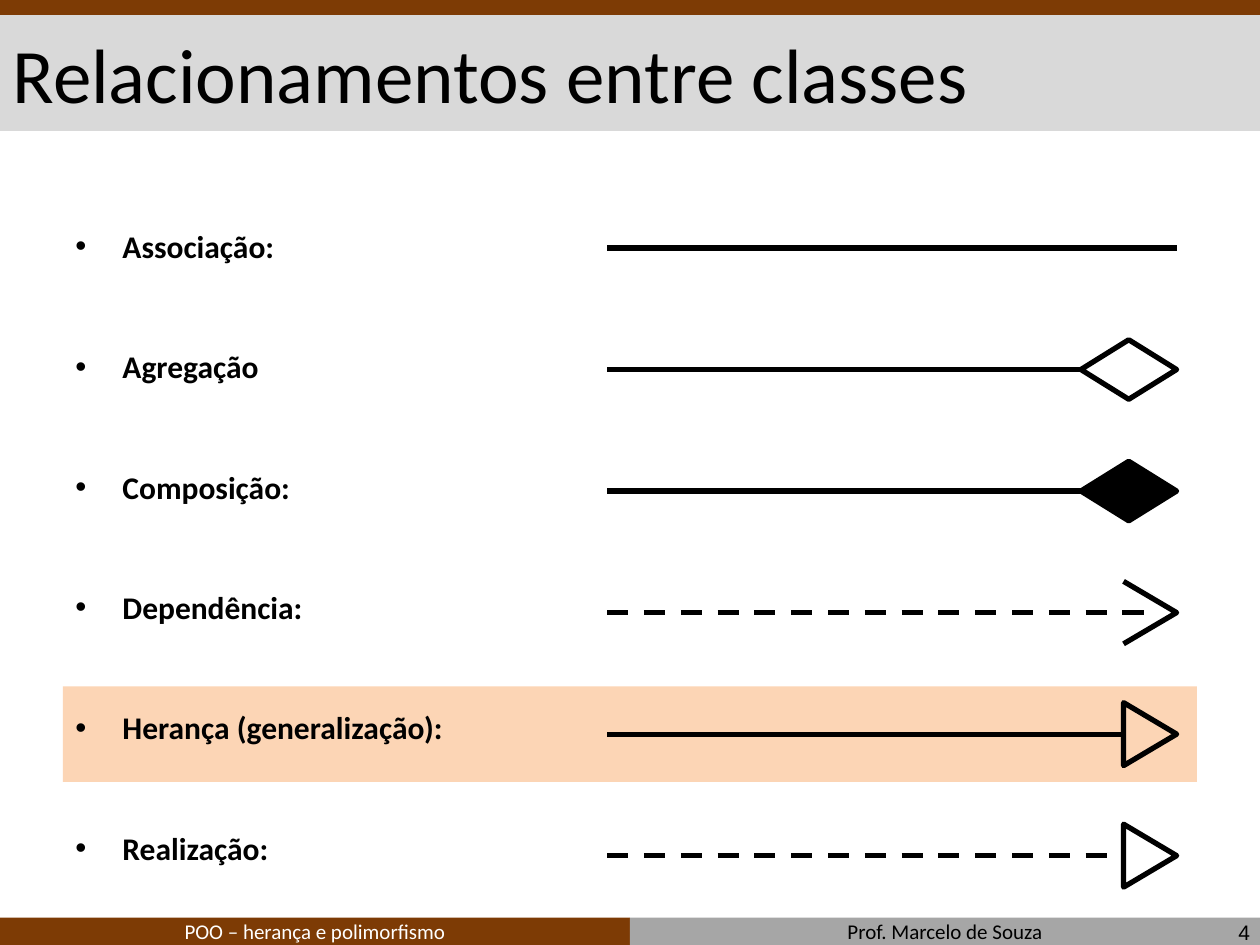
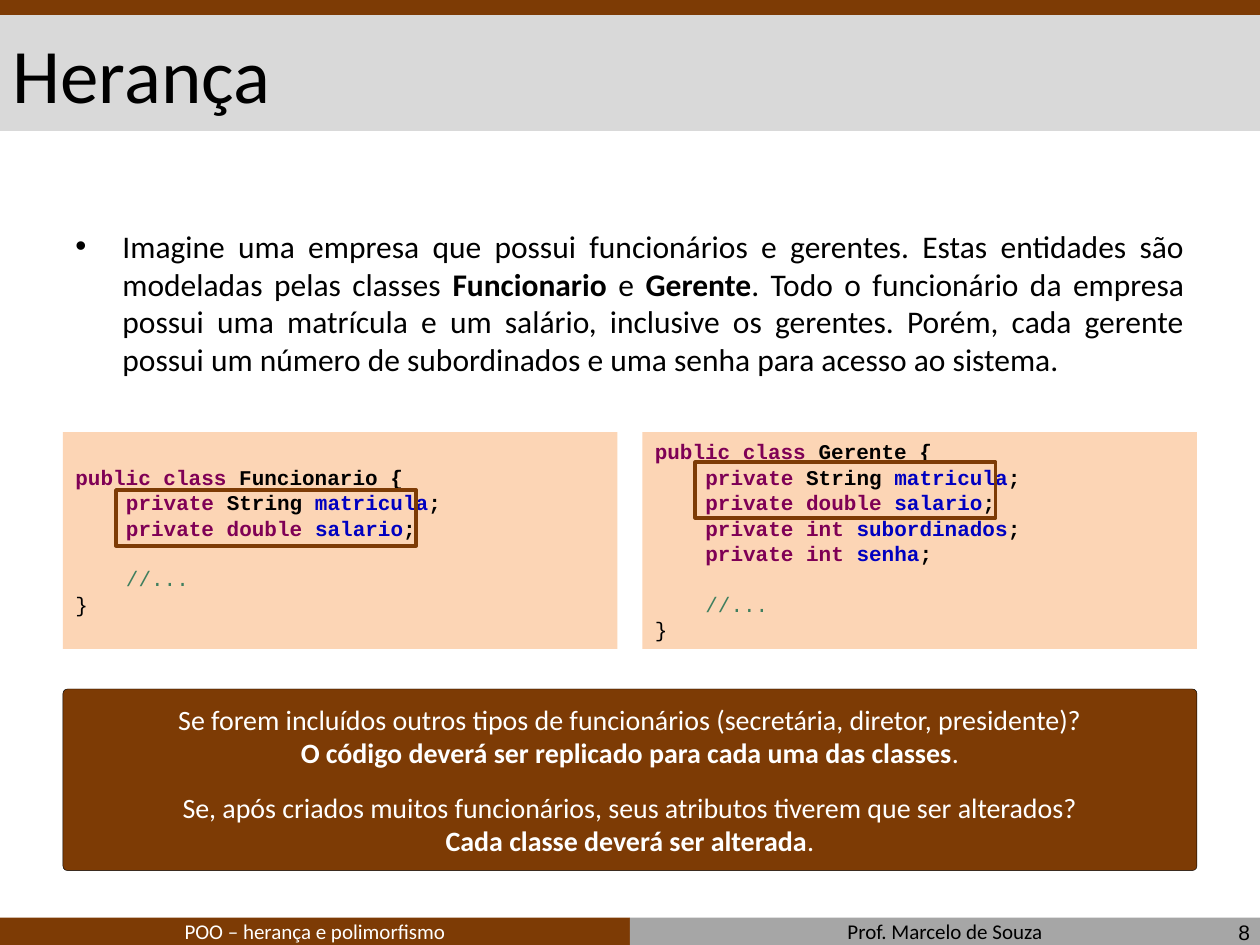
import collections

import lxml.etree
import pptx
import pptx.dml.color
import pptx.enum.dml
import pptx.enum.shapes
import pptx.enum.text
import pptx.oxml.ns
import pptx.util

Cm, Pt = pptx.util.Cm, pptx.util.Pt
SHAPES = pptx.enum.shapes.MSO_SHAPE
ALIGN = pptx.enum.text.PP_ALIGN
ANCHOR = pptx.enum.text.MSO_ANCHOR
Box = collections.namedtuple("Box", "left top width height")

COLORS = {
    "brown": "7D3B05", "peach": "FCD5B5", "light gray": "D9D9D9",
    "gray": "A6A6A6", "black": "000000", "white": "FFFFFF",
    "keyword": "7F0055", "field": "0000C0", "comment": "3F7F5F",
}
WIDTH, HEIGHT = 25.4, 19.05
MARGIN = 1.27
CONTENT_WIDTH = WIDTH - 2 * MARGIN
BODY = Box(MARGIN, 4.45, CONTENT_WIDTH, 13.3)

TITLE_FONT = {"name": "Calibri", "size": Pt(44), "bold": False}
BODY_FONT = {"name": "Calibri", "size": Pt(18)}
FOOTER_FONT = {"name": "Calibri", "size": Pt(12)}
NUMBER_FONT = {"name": "Arial", "size": Pt(12)}
CODE_FONT = {"name": "Courier New", "size": Pt(12)}
CALLOUT_FONT = {"name": "Calibri", "size": Pt(16)}


# Shared helpers
def rgb(color):
    return pptx.dml.color.RGBColor.from_string(COLORS[color])


def set_values(target, values):
    for name, value in values.items():
        setattr(target, name, value)


def cm_box(box):
    return [Cm(length) for length in box]


def style_line(line, color, width, dash=None):
    line.color.rgb = rgb(color)
    line.width = Pt(width)
    if dash:
        line.dash_style = dash


def style_shape(shape, fill=None, line=None, line_width=3):
    shape.shadow.inherit = False
    if fill:
        shape.fill.solid()
        shape.fill.fore_color.rgb = rgb(fill)
    else:
        shape.fill.background()
    if line:
        style_line(shape.line, line, line_width)
    else:
        shape.line.fill.background()
    return shape


def add_shape(slide, kind, box, **style):
    return style_shape(slide.shapes.add_shape(kind, *cm_box(box)), **style)


def add_line(slide, start, end, dash=None):
    points = [Cm(length) for length in (*start, *end)]
    connector = slide.shapes.add_connector(
        pptx.enum.shapes.MSO_CONNECTOR.STRAIGHT, *points)
    style_line(connector.line, "black", 3, dash)
    lxml.etree.SubElement(connector._element.spPr, pptx.oxml.ns.qn("a:effectLst"))
    return connector


def add_text_box(slide, box, **frame_format):
    frame = slide.shapes.add_textbox(*cm_box(box)).text_frame
    set_values(frame, {"word_wrap": True, **frame_format})
    return frame


def next_paragraph(frame, **paragraph_format):
    """Use the empty first paragraph, then add further ones."""
    paragraph = frame.paragraphs[0]
    if paragraph.runs:
        paragraph = frame.add_paragraph()
    set_values(paragraph, paragraph_format)
    return paragraph


def add_run(paragraph, text, font, color="black", bold=False):
    run = paragraph.add_run()
    run.text = text
    set_values(run.font, {**font, "bold": bold})
    run.font.color.rgb = rgb(color)


def indent(paragraph, left, first=0.0):
    properties = paragraph._p.get_or_add_pPr()
    properties.set("marL", str(Cm(left)))
    properties.set("indent", str(Cm(first)))
    return properties


def add_bullet(paragraph):
    properties = indent(paragraph, 0.95, -0.95)
    for tag, name, value in (("a:buFont", "typeface", "Arial"), ("a:buChar", "char", "•")):
        lxml.etree.SubElement(properties, pptx.oxml.ns.qn(tag)).set(name, value)


# Title, bands and footer of every slide
def add_footer(slide, box, number):
    half = box.width / 2
    parts = (("POO – herança e polimorfismo", "brown", "white"),
             ("Prof. Marcelo de Souza", "gray", "black"))
    for index, (text, fill, color) in enumerate(parts):
        band = add_shape(slide, SHAPES.RECTANGLE,
                         box._replace(left=box.left + index * half, width=half), fill=fill)
        set_values(band.text_frame, {"margin_top": 0, "margin_bottom": 0,
                                     "vertical_anchor": ANCHOR.MIDDLE})
        paragraph = next_paragraph(band.text_frame, alignment=ALIGN.CENTER)
        add_run(paragraph, text, FOOTER_FONT, color)
    frame = add_text_box(slide, Box(box.left + box.width - 5.87, box.top - 0.13, 5.92, 0.84),
                         vertical_anchor=ANCHOR.MIDDLE)
    add_run(next_paragraph(frame, alignment=ALIGN.RIGHT), number, NUMBER_FONT)


def add_titled_slide(presentation, title_text, number):
    slide = presentation.slides.add_slide(presentation.slide_layouts.get_by_name("Title Only"))
    title = slide.shapes.title
    set_values(title, dict(zip(Box._fields, cm_box(Box(0, 0.3, WIDTH, 2.34)))))
    title.fill.solid()
    title.fill.fore_color.rgb = rgb("light gray")
    set_values(title.text_frame, {"vertical_anchor": ANCHOR.MIDDLE, "word_wrap": True,
                                  "auto_size": pptx.enum.text.MSO_AUTO_SIZE.NONE})
    add_run(next_paragraph(title.text_frame, alignment=ALIGN.LEFT), title_text, TITLE_FONT)
    add_shape(slide, SHAPES.RECTANGLE, Box(0, 0, WIDTH, 0.3), fill="brown")
    add_footer(slide, Box(0, 18.5, WIDTH, 0.55), number)
    return slide


# Relationship notation: each line with its end symbol
def add_relationship(slide, box, symbol, fill=None, dash=None):
    middle = box.top + box.height / 2
    tip = box.left + box.width
    start = (box.left, middle)
    if symbol == "diamond":
        diamond = add_shape(slide, SHAPES.DIAMOND, Box(tip - 1.93, middle - 0.6, 1.93, 1.2),
                            fill=fill, line="black")
        add_line(slide, start, (tip - 1.93, middle), dash).end_connect(diamond, 1)
    elif symbol == "triangle":
        base, length = 1.27, 1.07
        add_line(slide, start, (tip - length, middle), dash)
        triangle = add_shape(
            slide, SHAPES.ISOSCELES_TRIANGLE,
            Box(tip - (length + base) / 2, middle - length / 2, base, length),
            fill=fill, line="black")
        triangle.rotation = 90
    elif symbol == "open arrow":
        add_line(slide, start, (tip - 0.5, middle), dash)
        builder = slide.shapes.build_freeform(Cm(tip - 1.07), Cm(middle - 0.63))
        builder.add_line_segments([(Cm(tip), Cm(middle)),
                                   (Cm(tip - 1.07), Cm(middle + 0.63))], close=False)
        style_shape(builder.convert_to_shape(), line="black")
    else:
        add_line(slide, start, (tip, middle), dash)


def build_relationships(presentation):
    slide = add_titled_slide(presentation, "Relacionamentos entre classes", "4")
    dashed = pptx.enum.dml.MSO_LINE.DASH
    relationships = (
        ("Associação:", {"symbol": "none"}),
        ("Agregação", {"symbol": "diamond", "fill": "white"}),
        ("Composição:", {"symbol": "diamond", "fill": "black"}),
        ("Dependência:", {"symbol": "open arrow", "dash": dashed}),
        ("Herança (generalização):", {"symbol": "triangle", "fill": "peach"}),
        ("Realização:", {"symbol": "triangle", "fill": "white", "dash": dashed}),
    )
    pitch, row_height, highlighted = 2.45, 1.93, 4
    rows = [Box(MARGIN, 5 - row_height / 2 + index * pitch, CONTENT_WIDTH, row_height)
            for index in range(len(relationships))]
    add_shape(slide, SHAPES.RECTANGLE, rows[highlighted], fill="peach")
    frame = add_text_box(slide, BODY)
    for index, (label, notation) in enumerate(relationships):
        paragraph = next_paragraph(frame, space_before=Pt(47.2 if index else 0))
        add_bullet(paragraph)
        add_run(paragraph, label, BODY_FONT, bold=True)
        add_relationship(slide, rows[index]._replace(left=12.24, width=11.48), **notation)


# Java class panel, with a frame around the repeated fields
def add_class_panel(slide, box, class_name, fields, frame_top):
    panel = add_shape(slide, SHAPES.RECTANGLE, box, fill="peach")
    set_values(panel.text_frame, {"word_wrap": True, "vertical_anchor": ANCHOR.MIDDLE})
    line_height = Pt(14.5)

    def add_code(*runs, left=0.0, space_before=0):
        paragraph = next_paragraph(panel.text_frame, alignment=ALIGN.LEFT,
                                   line_spacing=line_height, space_before=space_before)
        indent(paragraph, left)
        for text, color, bold in runs:
            add_run(paragraph, text, CODE_FONT, color, bold)

    add_code(("public class ", "keyword", True), (class_name + " {", "black", True))
    for type_name, field in fields:
        type_color = "black" if type_name == "String" else "keyword"
        add_code(("private ", "keyword", True), (type_name + " ", type_color, True),
                 (field, "field", True), (";", "black", True), left=1.02)
    add_code(("//...", "comment", False), left=1.02, space_before=line_height)
    add_code(("}", "black", False))
    add_shape(slide, SHAPES.RECTANGLE, Box(box.left + 1.07, box.top + frame_top, 6.05, 1.12),
              line="brown", line_width=2.25)


def add_callout(slide, box, questions):
    callout = add_shape(slide, SHAPES.ROUNDED_RECTANGLE, box, fill="brown",
                        line="black", line_width=0.25)
    callout.adjustments[0] = 0.025
    set_values(callout.text_frame, {"word_wrap": True, "vertical_anchor": ANCHOR.MIDDLE})
    for index, (question, answer) in enumerate(questions):
        paragraph = next_paragraph(callout.text_frame, alignment=ALIGN.CENTER,
                                   space_before=Pt(12 if index else 0))
        add_run(paragraph, question, CALLOUT_FONT, "white")
        paragraph = next_paragraph(callout.text_frame, alignment=ALIGN.CENTER)
        add_run(paragraph, answer, CALLOUT_FONT, "white", bold=True)
        add_run(paragraph, ".", CALLOUT_FONT, "white")


def build_inheritance(presentation):
    slide = add_titled_slide(presentation, "Herança", "8")
    paragraph = next_paragraph(add_text_box(slide, BODY._replace(height=4)),
                               alignment=ALIGN.JUSTIFY)
    add_bullet(paragraph)
    for text, bold in (
        ("Imagine uma empresa que possui funcionários e gerentes. Estas entidades são "
         "modeladas pelas classes ", False),
        ("Funcionario", True), (" e ", False), ("Gerente", True),
        (". Todo o funcionário da empresa possui uma matrícula e um salário, inclusive os "
         "gerentes. Porém, cada gerente possui um número de subordinados e uma senha para "
         "acesso ao sistema.", False),
    ):
        add_run(paragraph, text, BODY_FONT, bold=bold)

    # Two classes side by side
    shared_fields = [("String", "matricula"), ("double", "salario")]
    manager_fields = shared_fields + [("int", "subordinados"), ("int", "senha")]
    gap = 0.5
    panel_width = (CONTENT_WIDTH - gap) / 2
    panels = (("Funcionario", shared_fields, 1.17), ("Gerente", manager_fields, 0.61))
    for index, panel in enumerate(panels):
        left = MARGIN + index * (panel_width + gap)
        add_class_panel(slide, Box(left, 8.71, panel_width, 4.37), *panel)

    add_callout(slide, Box(MARGIN, 13.89, CONTENT_WIDTH, 3.66), (
        ("Se forem incluídos outros tipos de funcionários (secretária, diretor, presidente)?",
         "O código deverá ser replicado para cada uma das classes"),
        ("Se, após criados muitos funcionários, seus atributos tiverem que ser alterados?",
         "Cada classe deverá ser alterada"),
    ))


def main():
    presentation = pptx.Presentation()
    set_values(presentation, {"slide_width": Cm(WIDTH), "slide_height": Cm(HEIGHT)})
    build_relationships(presentation)
    build_inheritance(presentation)
    presentation.save("out.pptx")


if __name__ == "__main__":
    main()
